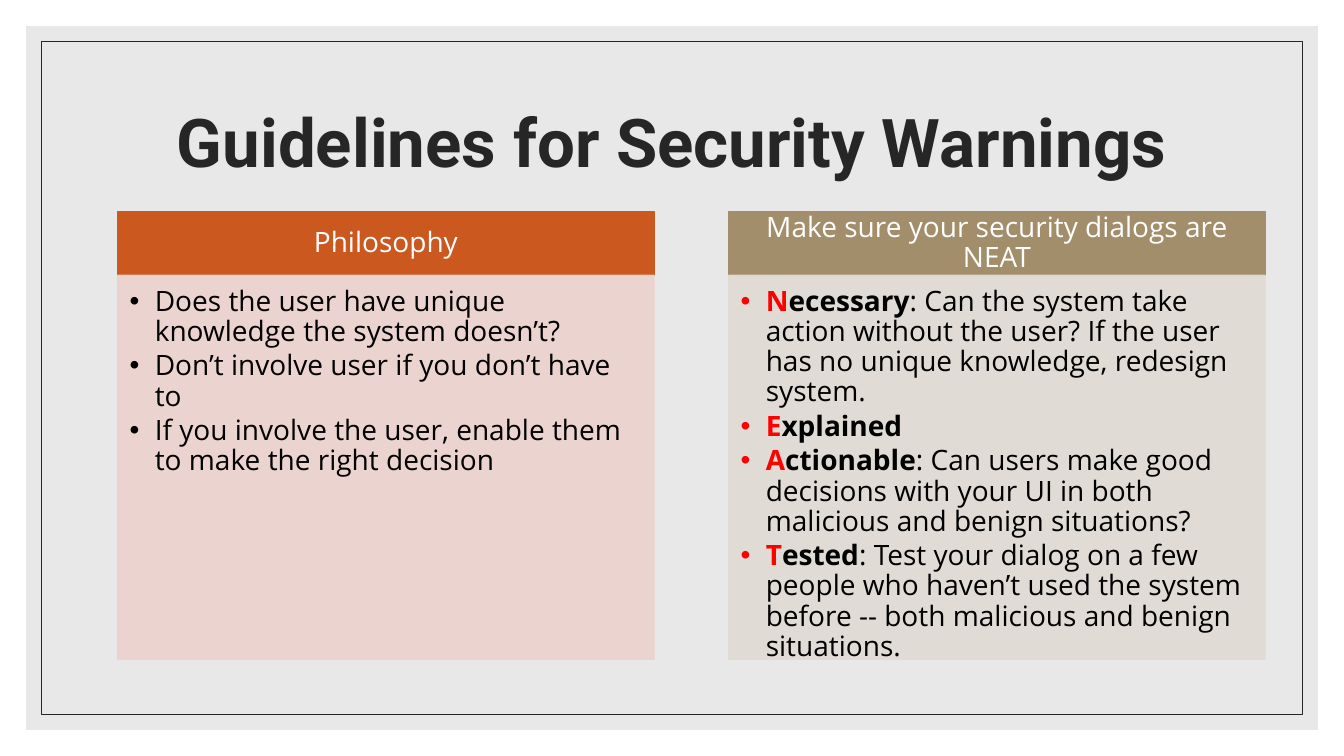
from lxml import etree
from pptx import Presentation
from pptx.dml.color import RGBColor
from pptx.enum import shapes, text
from pptx.oxml import ns
from pptx.util import Pt

WIDE, HIGH = 960, 540
TOP, HEAD, BODY, WIDTH = 151.2, 45.4, 274.3, 383
LEFTS = (84.2, 520.6)
COLORS = {
    "page": "FFFFFF", "frame": "D9D9D9", "dark": "262626",
    "black": "000000", "red": "FF0000",
    "rust": "CB581F", "rose": "ECD1CD",
    "tan": "A28E6A", "sand": "E0DBD4",
}
GOALS = [
    "Does the user have unique knowledge the system doesn’t?",
    "Don’t involve user if you don’t have to",
    "If you involve the user, enable them to make the right decision",
]
NEAT = [
    ("Necessary", ": Can the system take action without the user? "
     "If the user has no unique knowledge, redesign system."),
    ("Explained", ""),
    ("Actionable", ": Can users make good decisions with your UI in both "
     "malicious and benign situations?"),
    ("Tested", ": Test your dialog on a few people who haven’t used the "
     "system before -- both malicious and benign situations."),
]


def paint(part, name, alpha=100):
    """Give a fill a solid colour, with alpha as percent opacity."""
    part.solid()
    part.fore_color.rgb = RGBColor.from_string(COLORS[name])
    if alpha < 100:
        node = part._xPr.find(".//" + ns.qn("a:srgbClr"))
        etree.SubElement(node, ns.qn("a:alpha"), val=str(alpha * 1000))


def add_rect(slide, box, fill=None, line=None, width=1, alpha=100):
    rect = slide.shapes.add_shape(
        shapes.MSO_SHAPE.RECTANGLE, *[Pt(side) for side in box])
    rect.shadow.inherit = False
    if fill:
        paint(rect.fill, fill, alpha)
    else:
        rect.fill.background()
    if line:
        rect.line.width = Pt(width)
        paint(rect.line.fill, line, alpha)
    else:
        rect.line.fill.background()
    return rect


def set_frame(shape, anchor, pads):
    frame = shape.text_frame
    frame.word_wrap = True
    frame.vertical_anchor = anchor
    (frame.margin_left, frame.margin_top,
     frame.margin_right, frame.margin_bottom) = [Pt(pad) for pad in pads]
    return frame


def style(run, color, bold=False, size=20, face="Open Sans"):
    run.font.name = face
    run.font.size = Pt(size)
    run.font.bold = bold
    run.font.color.rgb = RGBColor.from_string(COLORS[color])


def add_line(frame, words, color, **look):
    """Fill the frame with one centred paragraph."""
    frame.text = words
    para = frame.paragraphs[0]
    para.alignment = text.PP_ALIGN.CENTER
    para.line_spacing = 0.9
    style(para.runs[0], color, **look)


def add_bullet(para, parts):
    """Write a bullet from (words, colour, bold) parts."""
    para.alignment = text.PP_ALIGN.LEFT
    para.line_spacing = 0.9
    para.space_after = Pt(3)
    props = para._p.get_or_add_pPr()
    props.set("marL", str(Pt(18)))
    props.set("indent", str(Pt(-18)))
    tint = etree.SubElement(props, ns.qn("a:buClr"))
    etree.SubElement(tint, ns.qn("a:srgbClr"), val=COLORS[parts[0][1]])
    etree.SubElement(props, ns.qn("a:buFont"), typeface="Arial")
    etree.SubElement(props, ns.qn("a:buChar"), char="•")
    for words, color, bold in parts:
        run = para.add_run()
        run.text = words
        style(run, color, bold)


def add_panel(slide, left, title, bullets, dark, light):
    head = add_rect(slide, (left, TOP, WIDTH, HEAD), dark, dark)
    frame = set_frame(head, text.MSO_ANCHOR.MIDDLE, (11.2, 6.4, 11.2, 6.4))
    add_line(frame, title, "page")
    body = add_rect(slide, (left, TOP + HEAD, WIDTH, BODY),
                    light, light, alpha=90)
    frame = set_frame(body, text.MSO_ANCHOR.TOP, (8.4, 8.4, 11.2, 12.6))
    for index, parts in enumerate(bullets):
        para = frame.add_paragraph() if index else frame.paragraphs[0]
        add_bullet(para, parts)


def add_title(slide, words):
    box = slide.shapes.add_textbox(Pt(84), Pt(50.4), Pt(792), Pt(108))
    frame = set_frame(box, text.MSO_ANCHOR.MIDDLE, (7.2, 3.6, 7.2, 3.6))
    add_line(frame, words, "dark", bold=True, size=48, face="Roboto")


def split_term(term, rest):
    """Mark the first letter of a term in red and the term in bold."""
    parts = [(term[0], "red", True), (term[1:], "black", True)]
    return parts + ([(rest, "black", False)] if rest else [])


def main():
    deck = Presentation()
    deck.slide_width, deck.slide_height = Pt(WIDE), Pt(HIGH)
    slide = deck.slides.add_slide(deck.slide_layouts[6])
    paint(slide.background.fill, "page")
    for inset, look in (
        (18.7, {"fill": "frame", "alpha": 60}),
        (29.5, {"line": "dark", "width": 0.5}),
    ):
        box = (inset, inset, WIDE - 2 * inset, HIGH - 2 * inset)
        add_rect(slide, box, **look)
    add_title(slide, "Guidelines for Security Warnings")
    add_panel(slide, LEFTS[0], "Philosophy",
              [[(goal, "black", False)] for goal in GOALS], "rust", "rose")
    add_panel(slide, LEFTS[1], "Make sure your security dialogs are NEAT",
              [split_term(*item) for item in NEAT], "tan", "sand")
    deck.save("out.pptx")


if __name__ == "__main__":
    main()
